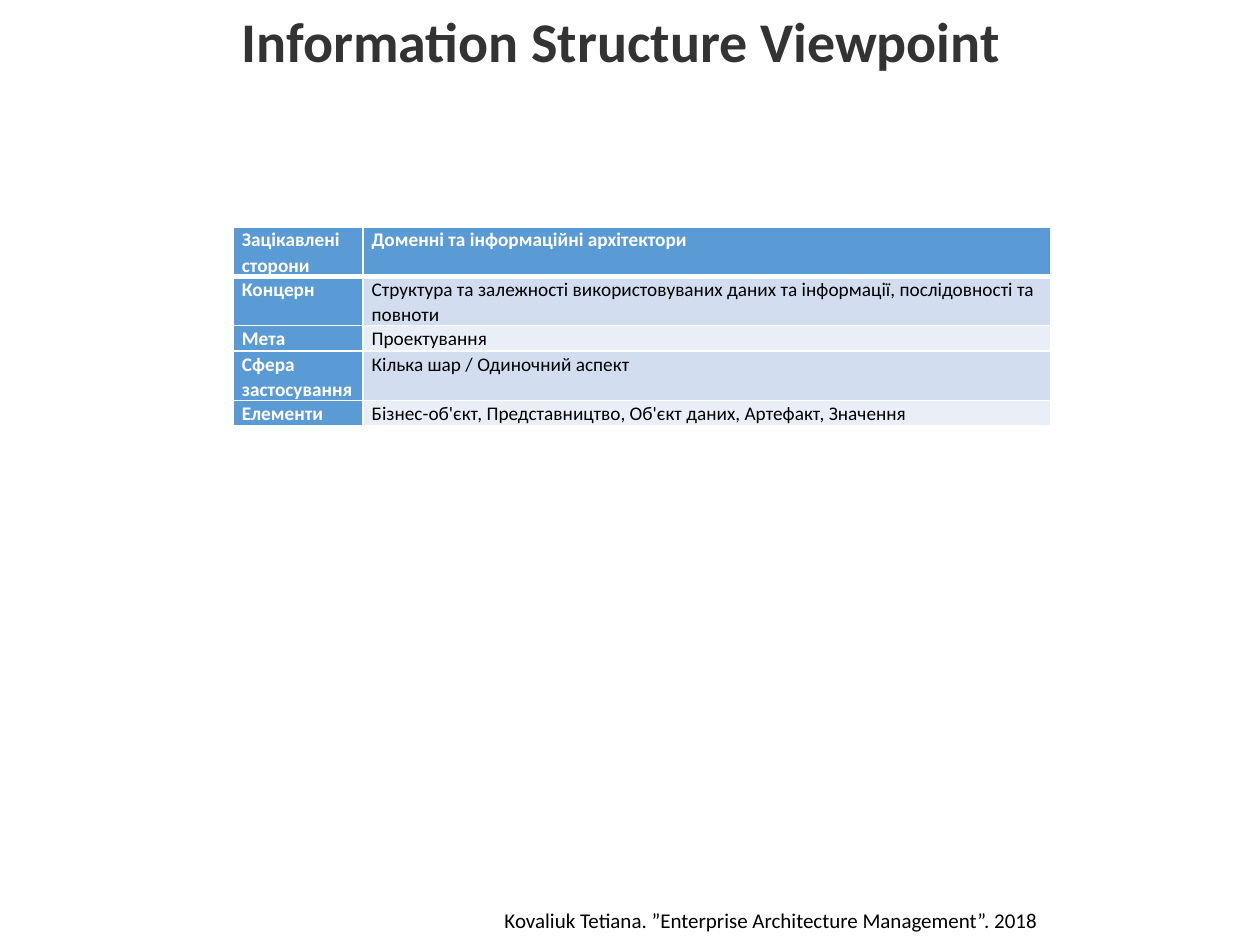
from dataclasses import dataclass

from lxml.etree import SubElement
from pptx import Presentation
from pptx.dml.color import RGBColor
from pptx.enum.text import MSO_ANCHOR, MSO_AUTO_SIZE, PP_ALIGN
from pptx.oxml.ns import qn
from pptx.util import Inches, Pt

FONT = "Calibri"
COLORS = {
    "title": "333333",
    "text": "000000",
    "white": "FFFFFF",
    "header": "5B9BD5",
    "odd_band": "D2DEEF",
    "even_band": "EAEFF7",
}


@dataclass
class TextStyle:
    size: float
    color: str
    bold: bool = False


@dataclass
class TableRow:
    label: str
    value: str
    height: float


@dataclass
class TextBox:
    text: str
    left: float
    top: float
    width: float
    height: float
    style: TextStyle
    align: PP_ALIGN
    wrap: bool


HEADING = TextStyle(11, "white", True)
BODY = TextStyle(11, "text")

COLUMN_WIDTHS = (1.03, 5.46)
ONE_LINE, TWO_LINES = 0.2, 0.39
ROWS = [
    TableRow("Зацікавлені сторони", "Доменні та інформаційні архітектори", TWO_LINES),
    TableRow("Концерн", "Структура та залежності використовуваних даних та інформації, "
             "послідовності та повноти", TWO_LINES),
    TableRow("Мета", "Проектування", ONE_LINE),
    TableRow("Сфера застосування", "Кілька шар / Одиночний аспект", TWO_LINES),
    TableRow("Елементи", "Бізнес-об'єкт, Представництво, Об'єкт даних, Артефакт, Значення",
             ONE_LINE),
]

FOOTER = TextBox("Kovaliuk Tetiana. ”Enterprise Architecture Management”. 2018",
                 2.24, 7.15, 7.76, 0.3, TextStyle(12, "text"), PP_ALIGN.CENTER, True)
TITLE = TextBox("Information Structure Viewpoint",
                1.82, 0, 6.28, 0.64, TextStyle(32, "title", True), PP_ALIGN.LEFT, False)


def rgb(name: str) -> RGBColor:
    return RGBColor.from_string(COLORS[name])


def add_run(paragraph, text: str, style: TextStyle) -> None:
    run = paragraph.add_run()
    run.text = text
    run.font.name = FONT
    run.font.size = Pt(style.size)
    run.font.bold = style.bold
    run.font.color.rgb = rgb(style.color)


def add_text_box(slide, box: TextBox) -> None:
    shape = slide.shapes.add_textbox(
        Inches(box.left), Inches(box.top), Inches(box.width), Inches(box.height))
    frame = shape.text_frame
    frame.word_wrap = box.wrap
    frame.auto_size = MSO_AUTO_SIZE.SHAPE_TO_FIT_TEXT
    paragraph = frame.paragraphs[0]
    paragraph.alignment = box.align
    add_run(paragraph, box.text, box.style)


def set_borders(cell, top: float, bottom: float) -> None:
    properties = cell._tc.get_or_add_tcPr()
    widths = {"a:lnL": 1, "a:lnR": 1, "a:lnT": top, "a:lnB": bottom}
    for tag, width in widths.items():
        line = SubElement(properties, qn(tag), w=str(Pt(width)))
        fill = SubElement(line, qn("a:solidFill"))
        SubElement(fill, qn("a:srgbClr"), val=COLORS["white"])


def fill_cell(cell, text: str, style: TextStyle, fill: str, row_index: int) -> None:
    # Borders precede the fill in the cell properties
    set_borders(cell, top=3 if row_index == 1 else 1, bottom=3 if row_index == 0 else 1)
    cell.fill.solid()
    cell.fill.fore_color.rgb = rgb(fill)
    cell.margin_left = cell.margin_right = Inches(0.07)
    cell.margin_top = cell.margin_bottom = 0
    cell.vertical_anchor = MSO_ANCHOR.TOP
    paragraph = cell.text_frame.paragraphs[0]
    paragraph.line_spacing = 1.07
    add_run(paragraph, text, style)


def add_viewpoint_table(slide, left: float, top: float) -> None:
    height = sum(row.height for row in ROWS)
    table = slide.shapes.add_table(
        len(ROWS), len(COLUMN_WIDTHS), Inches(left), Inches(top),
        Inches(sum(COLUMN_WIDTHS)), Inches(height)).table
    table.first_col = True
    for column, width in zip(table.columns, COLUMN_WIDTHS):
        column.width = Inches(width)
    for index, row in enumerate(ROWS):
        table.rows[index].height = Inches(row.height)
        band = "odd_band" if index % 2 else "even_band"
        value_style, value_fill = (BODY, band) if index else (HEADING, "header")
        fill_cell(table.cell(index, 0), row.label, HEADING, "header", index)
        fill_cell(table.cell(index, 1), row.value, value_style, value_fill, index)


def main() -> None:
    presentation = Presentation()
    presentation.slide_width = Inches(10)
    presentation.slide_height = Inches(7.5)
    slide = presentation.slides.add_slide(presentation.slide_layouts[6])

    # Footer, table and title
    add_text_box(slide, FOOTER)
    add_viewpoint_table(slide, 1.85, 1.8)
    add_text_box(slide, TITLE)

    presentation.save("out.pptx")


if __name__ == "__main__":
    main()
